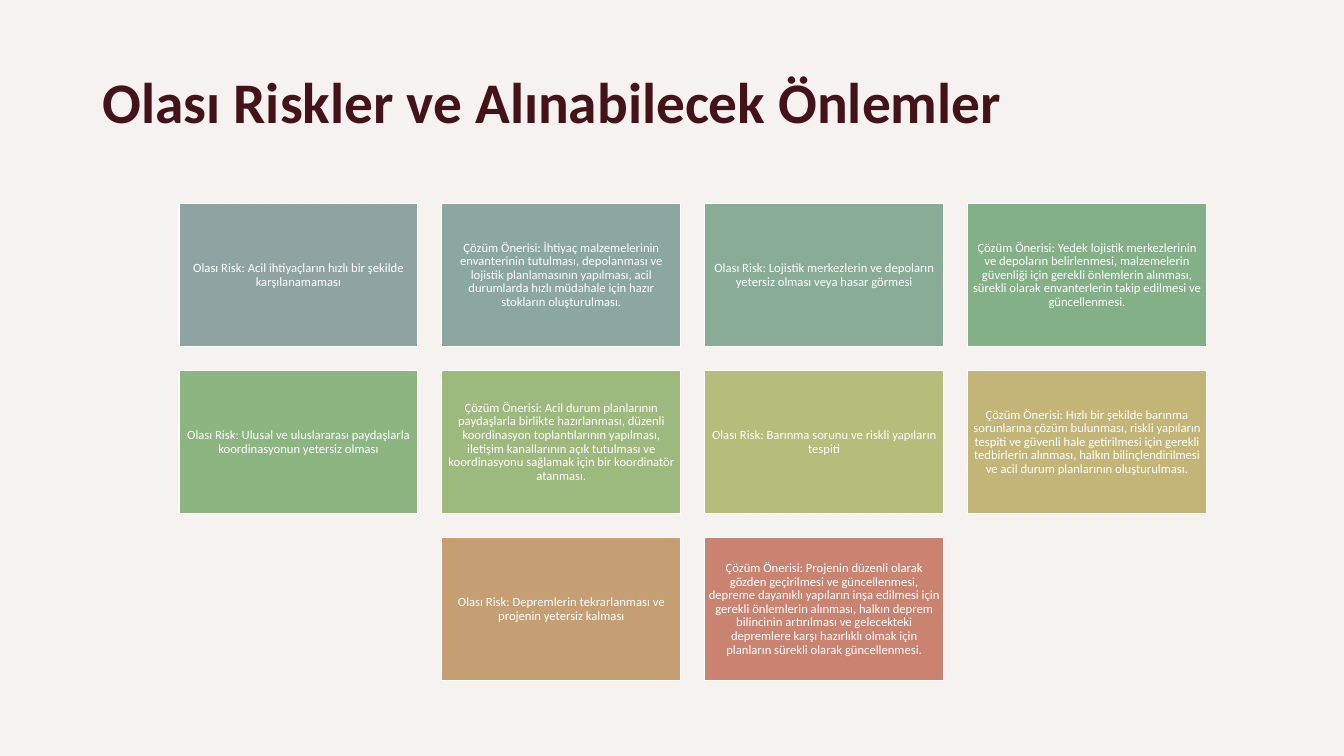
from pptx import Presentation
from pptx.dml.color import RGBColor as Rgb
from pptx.enum.shapes import MSO_SHAPE as Shape
from pptx.enum.text import MSO_ANCHOR as Anchor, PP_ALIGN as Align
from pptx.util import Inches, Pt

# Content
TITLE = "Olası Riskler ve Alınabilecek Önlemler"
RISK, CURE = "Olası Risk: ", "Çözüm Önerisi: "
PAIRS = [
    ("Acil ihtiyaçların hızlı bir şekilde karşılanamaması",
     "İhtiyaç malzemelerinin envanterinin tutulması, depolanması ve lojistik "
     "planlamasının yapılması, acil durumlarda hızlı müdahale için hazır "
     "stokların oluşturulması."),
    ("Lojistik merkezlerin ve depoların yetersiz olması veya hasar görmesi",
     "Yedek lojistik merkezlerinin ve depoların belirlenmesi, malzemelerin "
     "güvenliği için gerekli önlemlerin alınması, sürekli olarak envanterlerin "
     "takip edilmesi ve güncellenmesi."),
    ("Ulusal ve uluslararası paydaşlarla koordinasyonun yetersiz olması",
     "Acil durum planlarının paydaşlarla birlikte hazırlanması, düzenli "
     "koordinasyon toplantılarının yapılması, iletişim kanallarının açık "
     "tutulması ve koordinasyonu sağlamak için bir koordinatör atanması."),
    ("Barınma sorunu ve riskli yapıların tespiti",
     "Hızlı bir şekilde barınma sorunlarına çözüm bulunması, riskli yapıların "
     "tespiti ve güvenli hale getirilmesi için gerekli tedbirlerin alınması, "
     "halkın bilinçlendirilmesi ve acil durum planlarının oluşturulması."),
    ("Depremlerin tekrarlanması ve projenin yetersiz kalması",
     "Projenin düzenli olarak gözden geçirilmesi ve güncellenmesi, depreme "
     "dayanıklı yapıların inşa edilmesi için gerekli önlemlerin alınması, "
     "halkın deprem bilincinin artırılması ve gelecekteki depremlere karşı "
     "hazırlıklı olmak için planların sürekli olarak güncellenmesi."),
]
COLORS = {"back": "F6F2F0", "title": "44131A", "white": "FFFFFF"}
FILLS = ["8FA3A3", "8BA79F", "88AC96", "84B087", "8DB581",
         "9EB97D", "B4BD7A", "C2B577", "C69E73", "CA8370"]
FONT = "Calibri"

# Grid: the gap is a tenth of a card's width, and each row is centred
COLS, WIDE, HIGH = 4, 2.37, 1.42
GAP = WIDE / 10
MID, TOP = 6.87, 2.02


def style(para, size, color, bold=False):
    para.font.name, para.font.size, para.font.bold = FONT, Pt(size), bold
    para.font.color.rgb = Rgb.from_string(color)


def add_card(slide, left, top, text, fill):
    card = slide.shapes.add_shape(
        Shape.RECTANGLE, Inches(left), Inches(top), Inches(WIDE), Inches(HIGH))
    card.shadow.inherit = False
    card.fill.solid()
    card.fill.fore_color.rgb = Rgb.from_string(fill)
    card.line.color.rgb = Rgb.from_string(COLORS["white"])
    card.line.width = Pt(1)
    frame = card.text_frame
    frame.word_wrap = True
    frame.vertical_anchor = Anchor.MIDDLE
    frame.margin_left = frame.margin_right = Inches(0.04)
    frame.margin_top = frame.margin_bottom = Inches(0.04)
    frame.text = text
    para = frame.paragraphs[0]
    para.alignment, para.line_spacing = Align.CENTER, 0.9
    style(para, 9, COLORS["white"])


def main():
    deck = Presentation()
    deck.slide_width, deck.slide_height = Inches(13.33), Inches(7.5)
    slide = deck.slides.add_slide(deck.slide_layouts[6])
    back = slide.background.fill
    back.solid()
    back.fore_color.rgb = Rgb.from_string(COLORS["back"])

    # Title
    box = slide.shapes.add_textbox(
        Inches(0.92), Inches(0.61), Inches(11.32), Inches(1.4))
    box.text_frame.word_wrap = True
    box.text_frame.text = TITLE
    style(box.text_frame.paragraphs[0], 41, COLORS["title"], True)

    # Cards: each risk is followed by its remedy
    texts = [head + body for pair in PAIRS
             for head, body in zip((RISK, CURE), pair)]
    for i, (text, fill) in enumerate(zip(texts, FILLS)):
        row, col = divmod(i, COLS)
        count = min(COLS, len(texts) - row * COLS)
        start = MID - (count * (WIDE + GAP) - GAP) / 2
        add_card(slide, start + col * (WIDE + GAP),
                 TOP + row * (HIGH + GAP), text, fill)

    deck.save("out.pptx")


if __name__ == "__main__":
    main()
